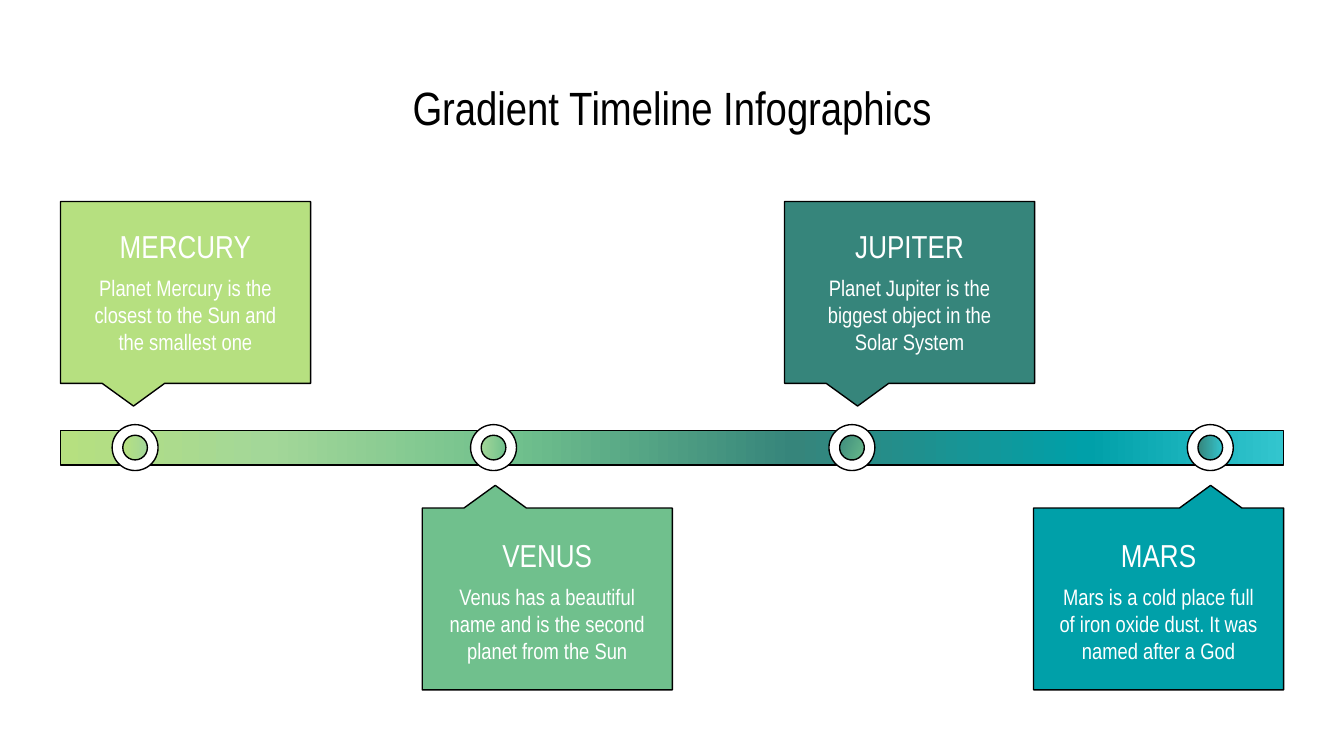
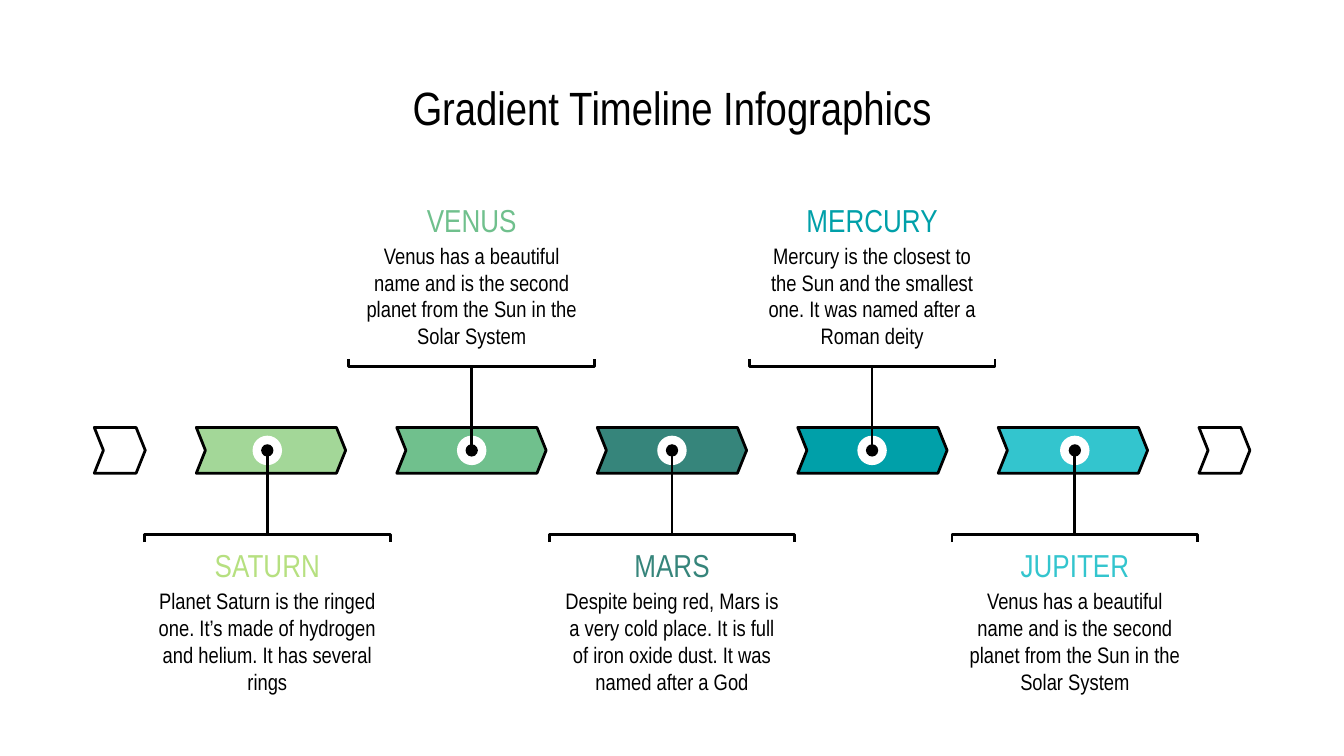
from copy import deepcopy

from pptx import Presentation
from pptx import util as u
from pptx.dml.color import RGBColor
from pptx.enum import shapes, text
from pptx.oxml import ns, xmlchemy

COLORS = {
    "lime": "B6E080", "leaf": "A3D798", "green": "70C08D", "pine": "36857B",
    "teal": "00A0A9", "cyan": "33C5CE", "black": "000000", "white": "FFFFFF",
}
FONT = "Arial Narrow"
TITLE = "Gradient Timeline Infographics"
HEADING_SIZE, BODY_SIZE, TITLE_SIZE = 17, 12, 25
PAGE_W, PAGE_H, MARGIN = 720, 405, 32.4

BAR_STOPS = [(0, "lime"), (0.17, "leaf"), (0.37, "green"),
             (0.6, "pine"), (0.84, "teal"), (1, "cyan")]
CARD_W, CARD_H = 134, 97.4
CARD_SIDES = {
    "above": {"top": 108, "heading": 17.3, "tip": 0.625},
    "below": {"top": 272.2, "heading": 18.7, "tip": -0.625},
}
CARDS = [
    {"heading": "MERCURY", "body": "Planet Mercury is the closest to the Sun and the smallest one",
     "left": 32.4, "side": "above", "tip": -0.208, "fill": "lime",
     "ring": ("lime", "leaf"), "turn": 0},
    {"heading": "VENUS", "body": "Venus has a beautiful name and is the second planet from the Sun",
     "left": 226.2, "side": "below", "tip": -0.208, "fill": "green",
     "ring": ("leaf", "green"), "turn": 0},
    {"heading": "JUPITER", "body": "Planet Jupiter is the biggest object in the Solar System",
     "left": 420.3, "side": "above", "tip": -0.208, "fill": "pine",
     "ring": ("green", "pine"), "turn": 203.6},
    {"heading": "MARS", "body": "Mars is a cold place full of iron oxide dust. It was named after a God",
     "left": 553.7, "side": "below", "tip": 0.208, "fill": "teal",
     "ring": ("pine", "cyan"), "turn": 0},
]
RING_START, RING_STEP, RING_Y = 72.4, 192, 239.8

NOTE_W = 131.6
NOTE_SIDES = {
    "above": {"heading": 100.1, "body": 122.4, "bracket": 196.4, "tick": 192.3},
    "below": {"heading": 285.1, "body": 307.4, "bracket": 286.4, "tick": 290.4},
}
STEPS = [
    {"heading": "SATURN",
     "body": "Planet Saturn is the ringed one. It’s made of hydrogen and helium. It has several rings",
     "pin": 143.2, "side": "below", "fill": "leaf", "ink": "lime"},
    {"heading": "VENUS",
     "body": "Venus has a beautiful name and is the second planet from the Sun in the Solar System",
     "pin": 252.7, "side": "above", "fill": "green", "ink": "green"},
    {"heading": "MARS",
     "body": "Despite being red, Mars is a very cold place. It is full of iron oxide dust. It was named after a God",
     "pin": 360, "side": "below", "fill": "pine", "ink": "pine"},
    {"heading": "MERCURY",
     "body": "Mercury is the closest to the Sun and the smallest one. It was named after a Roman deity",
     "pin": 467.2, "side": "above", "fill": "teal", "ink": "teal"},
    {"heading": "JUPITER",
     "body": "Venus has a beautiful name and is the second planet from the Sun in the Solar System",
     "pin": 575.8, "side": "below", "fill": "cyan", "ink": "cyan"},
]
ARROW_START, ARROW_STEP, ARROW_W, ARROW_H = 105.2, 107.4, 80, 24.5
ARROW_Y = 241.3
END_LEFTS, END_W = (50.5, 642.3), 27.3


def rgb(color):
    return RGBColor.from_string(COLORS[color])


def points(*lengths):
    return [u.Pt(length) for length in lengths]


def apply(target, formats):
    for name, setting in formats.items():
        setattr(target, name, setting)


def paint(shape, fill=None, line=None, weight=0.75):
    shape.shadow.inherit = False
    if fill is None:
        shape.fill.background()
    elif isinstance(fill, str):
        shape.fill.solid()
        shape.fill.fore_color.rgb = rgb(fill)
    else:
        shade(shape, fill)
    if line is None:
        shape.line.fill.background()
    else:
        shape.line.color.rgb = rgb(line)
        shape.line.width = u.Pt(weight)
    return shape


def shade(shape, stops):
    shape.fill.gradient()
    shape.fill.gradient_angle = 0
    stop_list = shape.element.spPr.find(".//" + ns.qn("a:gsLst"))
    for _ in stops[2:]:
        stop_list.append(deepcopy(stop_list[0]))
    for stop, (position, color) in zip(shape.fill.gradient_stops, stops):
        stop.color.rgb = rgb(color)
        stop.position = position


def preset(slide, kind, left, top, width, height, adjust=(), **look):
    shape = slide.shapes.add_shape(kind, *points(left, top, width, height))
    for index, amount in enumerate(adjust):
        shape.adjustments[index] = amount
    return paint(shape, **look)


def disc(slide, x, y, size, **look):
    return preset(slide, shapes.MSO_SHAPE.OVAL, x - size / 2, y - size / 2, size, size, **look)


def label(slide, words, left, top, width, height, size, color, anchor="TOP"):
    frame = slide.shapes.add_textbox(*points(left, top, width, height)).text_frame
    inset = u.Pt(7.2)
    apply(frame, {"word_wrap": True, "vertical_anchor": text.MSO_ANCHOR[anchor],
                  "margin_left": inset, "margin_right": inset,
                  "margin_top": inset, "margin_bottom": inset})
    paragraph = frame.paragraphs[0]
    paragraph.alignment = text.PP_ALIGN.CENTER
    run = paragraph.add_run()
    run.text = words
    apply(run.font, {"name": FONT, "size": u.Pt(size)})
    run.font.color.rgb = rgb(color)


def stem(slide, x, start, end):
    connector = slide.shapes.add_connector(
        shapes.MSO_CONNECTOR.STRAIGHT, *points(x, start, x, end))
    connector.line.color.rgb = rgb("black")
    connector.line.width = u.Pt(1.5)
    connector.element.spPr.append(xmlchemy.OxmlElement("a:effectLst"))


def bracket(slide, left, side):
    right, edge, tick = left + NOTE_W, side["bracket"], side["tick"]
    outline = slide.shapes.build_freeform(*points(left, tick))
    outline.add_line_segments(
        [points(left, edge), points(right, edge), points(right, tick)], close=False)
    paint(outline.convert_to_shape(), line="black", weight=1.5)


def titled_slide(deck):
    slide = deck.slides.add_slide(deck.slide_layouts[6])
    label(slide, TITLE, MARGIN, 35.1, PAGE_W - 2 * MARGIN, 45.4, TITLE_SIZE, "black")
    return slide


def planet_cards(deck):
    slide = titled_slide(deck)
    preset(slide, shapes.MSO_SHAPE.ROUNDED_RECTANGLE, MARGIN, 230.6, PAGE_W - 2 * MARGIN, 18.5,
           adjust=[0], fill=BAR_STOPS, line="black")
    for index, card in enumerate(CARDS):
        side = CARD_SIDES[card["side"]]
        preset(slide, shapes.MSO_SHAPE.RECTANGULAR_CALLOUT, card["left"], side["top"],
               CARD_W, CARD_H, adjust=[card["tip"], side["tip"]],
               fill=card["fill"], line="black")
        ring_x = RING_START + RING_STEP * index
        disc(slide, ring_x, RING_Y, 24.6, fill="white", line="black")
        core = disc(slide, ring_x, RING_Y, 13.2, fill=list(enumerate(card["ring"])), line="black")
        core.rotation = card["turn"]
        left, top = card["left"] + 5.4, side["top"] + side["heading"]
        label(slide, card["heading"], left, top, 123.1, 13, HEADING_SIZE, "white", "MIDDLE")
        label(slide, card["body"], left, top + 14.4, 123.1, 45.4, BODY_SIZE, "white")


def planet_arrows(deck):
    slide = titled_slide(deck)
    arrow_top = ARROW_Y - ARROW_H / 2
    for left in END_LEFTS:
        preset(slide, shapes.MSO_SHAPE.CHEVRON, left, arrow_top, END_W, ARROW_H,
               adjust=[0.2], line="black", weight=1.5)
    for index, step in enumerate(STEPS):
        side, pin = NOTE_SIDES[step["side"]], step["pin"]
        left = pin - NOTE_W / 2
        preset(slide, shapes.MSO_SHAPE.CHEVRON, ARROW_START + ARROW_STEP * index, arrow_top,
               ARROW_W, ARROW_H, adjust=[0.2], fill=step["fill"], line="black", weight=1.5)
        disc(slide, pin, ARROW_Y, 15.8, fill="white")
        disc(slide, pin, ARROW_Y, 6.6, fill="black")
        stem(slide, pin, ARROW_Y, side["bracket"])
        bracket(slide, left, side)
        label(slide, step["heading"], left, side["heading"], NOTE_W, 22.3,
              HEADING_SIZE, step["ink"])
        label(slide, step["body"], left, side["body"], NOTE_W, 69.8, BODY_SIZE, "black")


def main():
    deck = Presentation()
    apply(deck, {"slide_width": u.Pt(PAGE_W), "slide_height": u.Pt(PAGE_H)})
    planet_cards(deck)
    planet_arrows(deck)
    deck.save("out.pptx")


if __name__ == "__main__":
    main()
